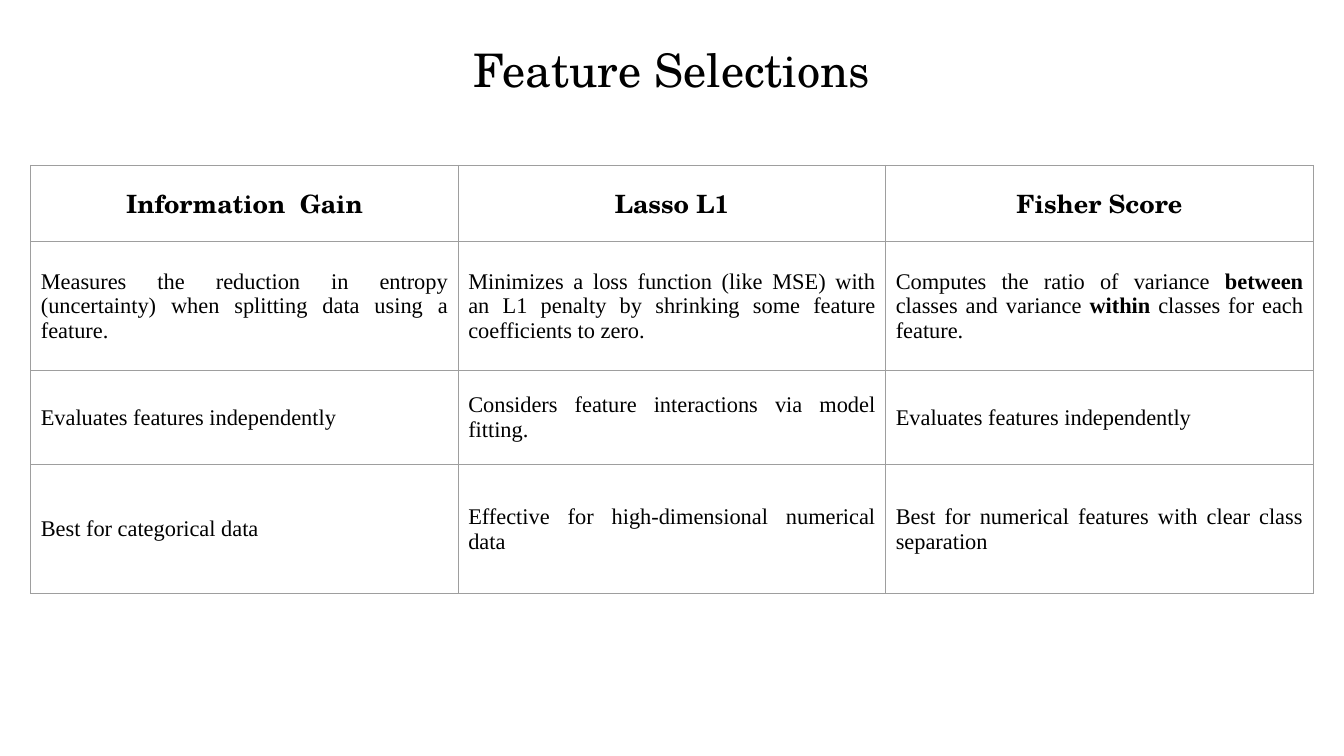
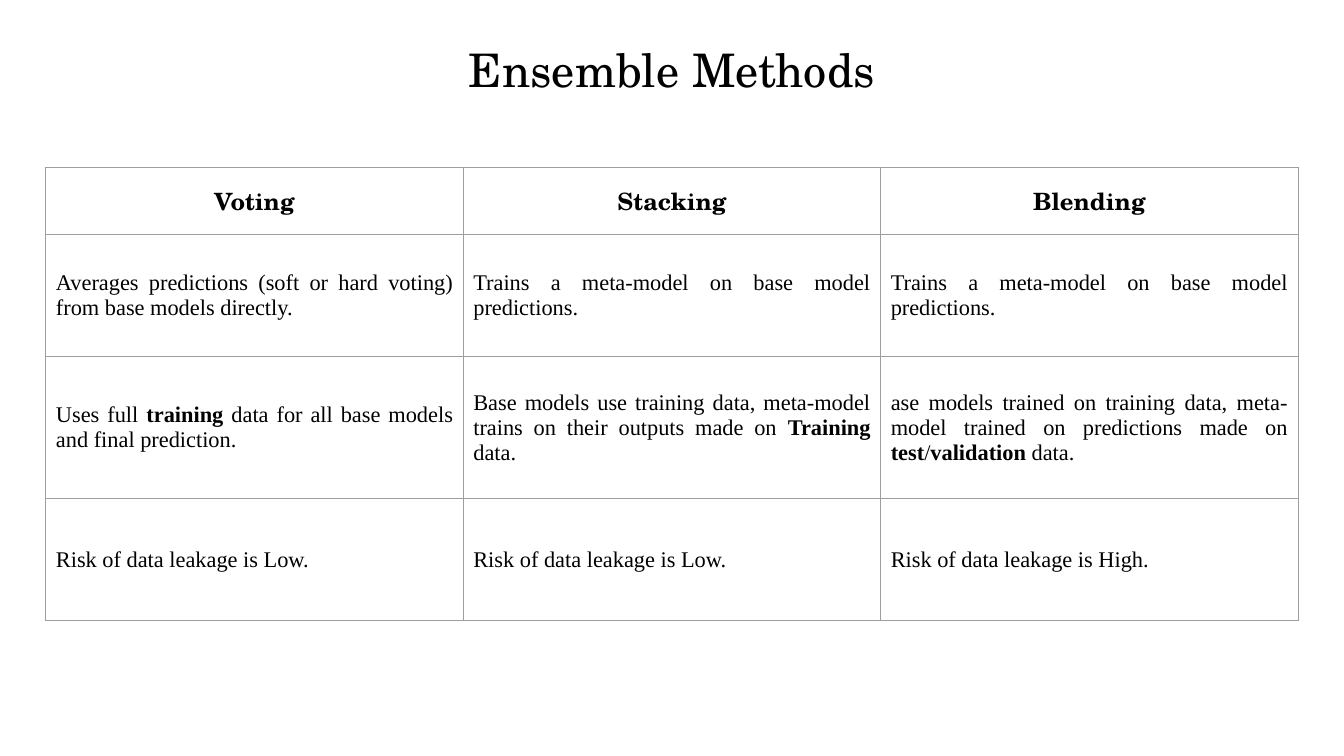
import pptx
import pptx.dml.color
import pptx.enum.text
import pptx.oxml
import pptx.oxml.ns
import pptx.util
from lxml import etree

# Shared look
WIDTH, HEIGHT = 13.33, 7.5
TITLE_WIDTH = 12.42
BLACK, WHITE, RULE = "000000", "FFFFFF", "9E9E9E"
HEAD_FONT, BODY_FONT = "TeX Gyre Schola", "Times New Roman"
TITLE_SIZE, BODY_SIZE = 33, 16
RULE_WIDTH = 0.75
ALIGN = pptx.enum.text.PP_ALIGN
ANCHOR = pptx.enum.text.MSO_ANCHOR

# Table contents; ** switches bold on and off
FEATURE_SELECTION = [
    ["Information  Gain", "Lasso L1", "Fisher Score"],
    ["Measures the reduction in entropy (uncertainty) when splitting data using a feature.",
     "Minimizes a loss function (like MSE) with an L1 penalty by shrinking some feature "
     "coefficients to zero.",
     "Computes the ratio of variance **between **classes and variance **within **classes "
     "for each feature."],
    ["Evaluates features independently",
     "Considers feature interactions via model fitting.",
     "Evaluates features independently"],
    ["Best for categorical data",
     "Effective for high-dimensional numerical data",
     "Best for numerical features with clear class separation"],
]
ENSEMBLE_METHODS = [
    ["Voting", "Stacking", "Blending"],
    ["Averages predictions (soft or hard voting) from base models directly.",
     "Trains a meta-model on base model predictions.",
     "Trains a meta-model on base model predictions."],
    ["Uses full **training **data for all base models and final prediction.",
     "Base models use training data, meta-model trains on their outputs made on "
     "**Training **data.",
     "ase models trained on training data, meta-model trained on predictions made on "
     "**test**/**validation** data."],
    ["Risk of data leakage is Low.",
     "Risk of data leakage is Low.",
     "Risk of data leakage is High."],
]


def inches(value):
    return pptx.util.Inches(value)


def color(hex_string):
    return pptx.dml.color.RGBColor.from_string(hex_string)


def style_run(r, font, size, bold=False):
    r.font.name = font
    r.font.size = pptx.util.Pt(size)
    r.font.bold = bold
    r.font.color.rgb = color(BLACK)


def set_margins(box, margin):
    box.margin_left = box.margin_right = inches(margin)
    box.margin_top = box.margin_bottom = inches(margin)


def add_title(s, text):
    left = (WIDTH - TITLE_WIDTH) / 2
    sp = s.shapes.add_textbox(inches(left), inches(0.19), inches(TITLE_WIDTH), inches(0.91))
    tf = sp.text_frame
    tf.word_wrap = True
    tf.vertical_anchor = ANCHOR.BOTTOM
    set_margins(tf, 0.13)
    tf.text = text
    p = tf.paragraphs[0]
    p.alignment = ALIGN.CENTER
    p.line_spacing = 0.9
    style_run(p.runs[0], HEAD_FONT, TITLE_SIZE)


def add_borders(cell):
    tc_pr = cell._tc.get_or_add_tcPr()
    for side in ("a:lnL", "a:lnR", "a:lnT", "a:lnB"):
        ln = etree.SubElement(tc_pr, pptx.oxml.ns.qn(side), w=str(pptx.util.Pt(RULE_WIDTH)))
        fill = etree.SubElement(ln, pptx.oxml.ns.qn("a:solidFill"))
        etree.SubElement(fill, pptx.oxml.ns.qn("a:srgbClr"), val=RULE)


def fill_cell(cell, text, font, size, align, header):
    add_borders(cell)
    cell.fill.solid()
    cell.fill.fore_color.rgb = color(WHITE)
    cell.vertical_anchor = ANCHOR.MIDDLE
    set_margins(cell, 0.1)
    p = cell.text_frame.paragraphs[0]
    p.alignment = align
    for i, part in enumerate(text.split("**")):
        if part:
            r = p.add_run()
            r.text = part
            style_run(r, font, size, header or i % 2 == 1)


def add_comparison(s, rows, top, column_width, row_heights, header_size):
    columns = len(rows[0])
    width = columns * column_width
    frame = s.shapes.add_table(len(rows), columns, inches((WIDTH - width) / 2), inches(top),
                               inches(width), inches(sum(row_heights)))
    table = frame.table
    table.first_row = table.horz_banding = False
    for column in table.columns:
        column.width = inches(column_width)
    for i, (texts, height) in enumerate(zip(rows, row_heights)):
        table.rows[i].height = inches(height)
        header = i == 0
        look = ((HEAD_FONT, header_size, ALIGN.CENTER) if header
                else (BODY_FONT, BODY_SIZE, ALIGN.JUSTIFY))
        for j, text in enumerate(texts):
            fill_cell(table.cell(i, j), text, *look, header)


def add_slide(prs, title, *table_args):
    s = prs.slides.add_slide(prs.slide_layouts[6])
    s.background.fill.solid()
    s.background.fill.fore_color.rgb = color(WHITE)
    add_title(s, title)
    add_comparison(s, *table_args)


def main():
    prs = pptx.Presentation()
    prs.slide_width, prs.slide_height = inches(WIDTH), inches(HEIGHT)
    add_slide(prs, "Feature Selections", FEATURE_SELECTION,
              1.64, 4.24, [0.76, 1.28, 0.93, 1.28], 18)
    add_slide(prs, "Ensemble Methods", ENSEMBLE_METHODS,
              1.66, 4.14, [0.67, 1.21, 1.41, 1.21], 17)
    prs.save("out.pptx")


if __name__ == "__main__":
    main()
